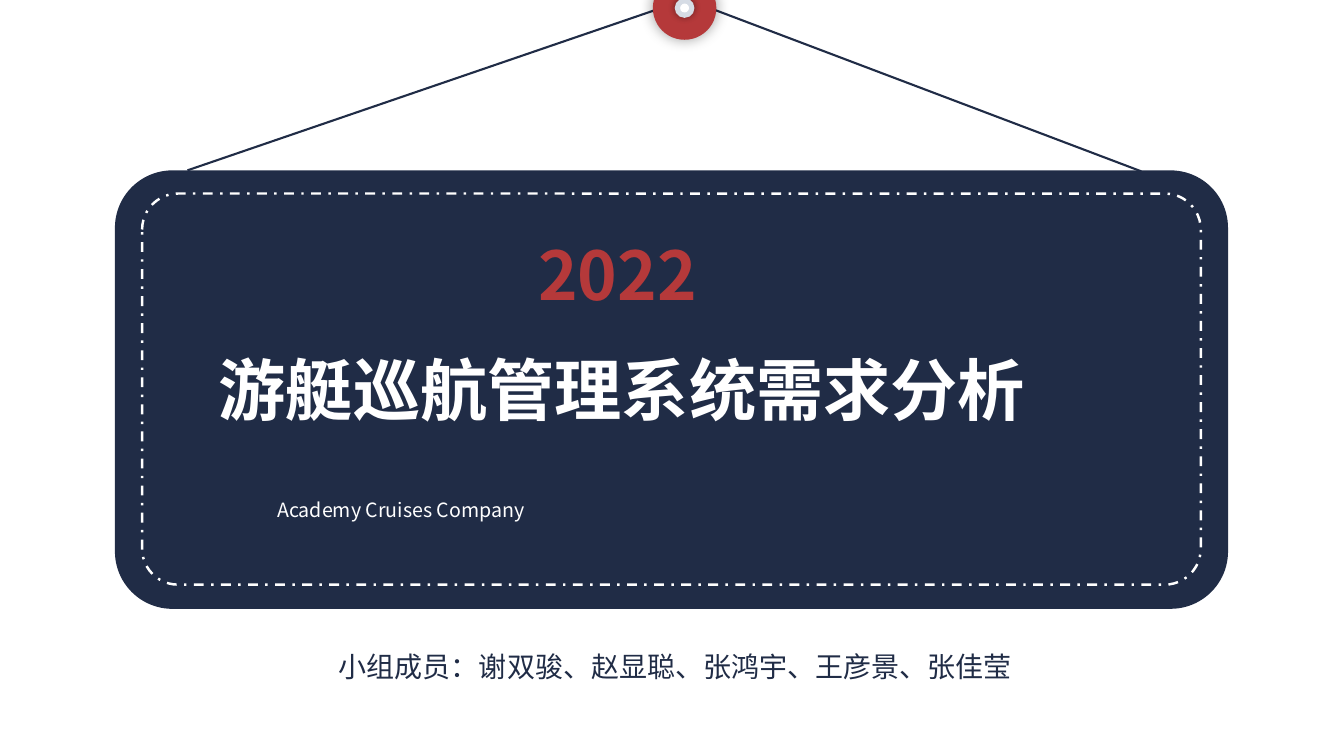
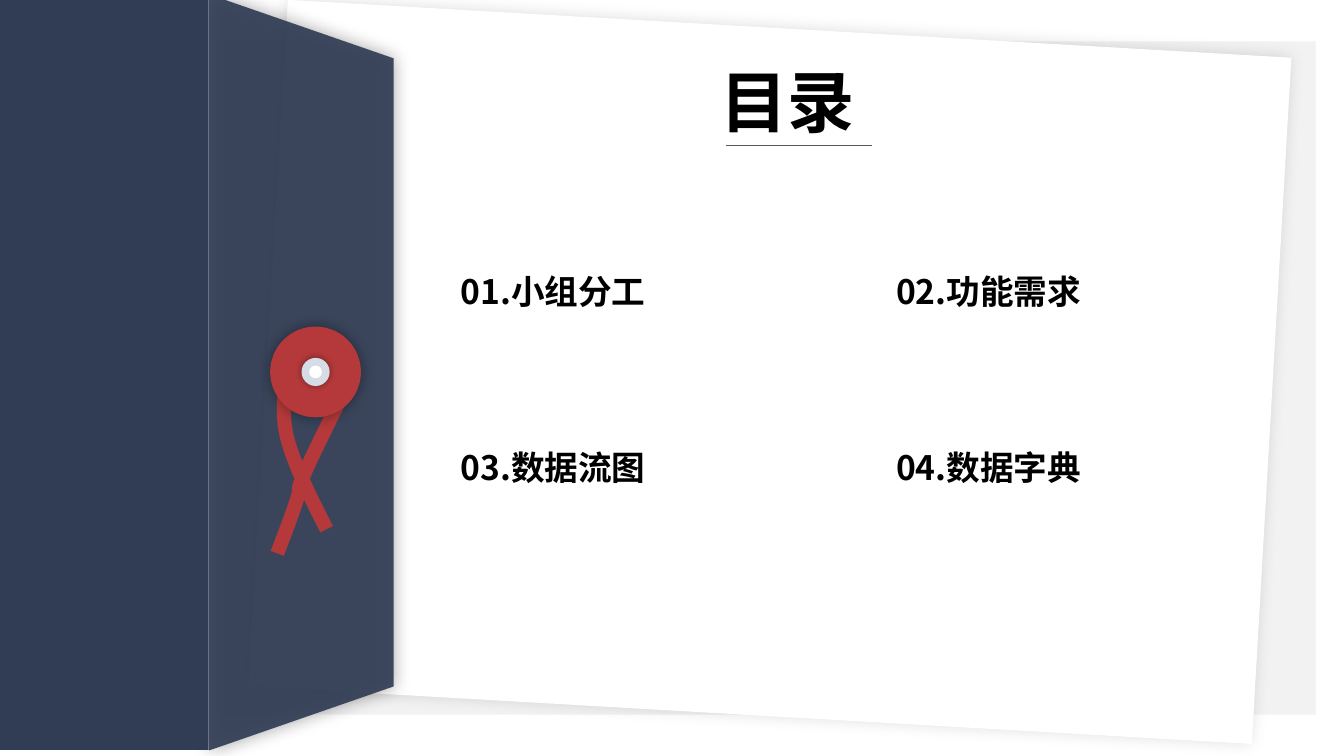
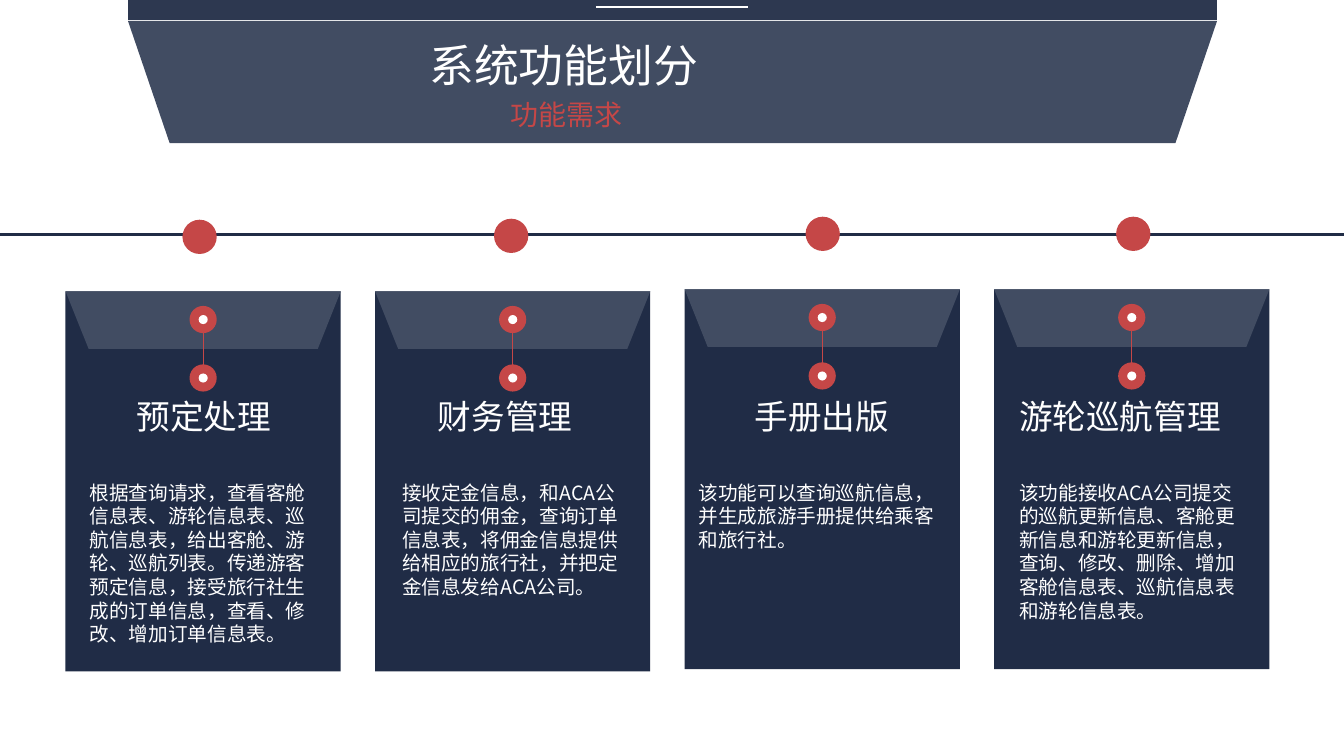
from dataclasses import dataclass

from lxml import etree
from pptx import Presentation
from pptx.dml.color import RGBColor
from pptx.enum.dml import MSO_LINE
from pptx.enum.shapes import MSO_CONNECTOR, MSO_SHAPE
from pptx.enum.text import PP_ALIGN
from pptx.oxml.ns import qn
from pptx.util import Inches, Pt

RECT, ROUND = MSO_SHAPE.RECTANGLE, MSO_SHAPE.ROUNDED_RECTANGLE
OVAL, TRAPEZOID = MSO_SHAPE.OVAL, MSO_SHAPE.TRAPEZOID
STRAIGHT, DASH_DOT = MSO_CONNECTOR.STRAIGHT, MSO_LINE.DASH_DOT
LEFT, CENTER, JUSTIFY = PP_ALIGN.LEFT, PP_ALIGN.CENTER, PP_ALIGN.JUSTIFY

FONT = "Noto Sans CJK SC"
NAVY, SLATE, FLAP = "202C46", "313D55", "414C62"
RED, CORAL = "B5393A", "C54747"
WHITE, BLACK, SILVER, PALE, GREY = "FFFFFF", "000000", "D6DCE5", "F2F2F2", "595959"
SLIDE_W, SLIDE_H = 13.33, 7.5


@dataclass
class Shadow:
    alpha: int
    blur: float


@dataclass
class Card:
    top: float
    dot: tuple[float, float]
    heading: str
    heading_x: float
    heading_w: float
    body: str
    body_x: float
    body_w: float
    align: PP_ALIGN = CENTER


CARDS = [
    Card(2.89, (1.98, 2.35), "预定处理", 0.79, 2.46,
         "根据查询请求，查看客舱信息表、游轮信息表、巡航信息表，给出客舱、游轮、巡航列表。"
         "传递游客预定信息，接受旅行社生成的订单信息，查看、修改、增加订单信息表。", 0.79, 2.36),
    Card(2.89, (5.07, 2.34), "财务管理", 3.76, 2.5,
         "接收定金信息，和ACA公司提交的佣金，查询订单信息表，将佣金信息提供给相应的旅行社，"
         "并把定金信息发给ACA公司。", 3.89, 2.4),
    Card(2.87, (8.16, 2.32), "手册出版", 7, 2.3,
         "该功能可以查询巡航信息，并生成旅游手册提供给乘客和旅行社。", 6.83, 2.56),
    Card(2.87, (11.24, 2.32), "游轮巡航管理", 10.01, 2.3,
         "该功能接收ACA公司提交的巡航更新信息、客舱更新信息和游轮更新信息，"
         "查询、修改、删除、增加客舱信息表、巡航信息表和游轮信息表。", 10.01, 2.4, JUSTIFY),
]
CARD_X, CARD_STEP, CARD_W, CARD_H = 0.65, 3.07, 2.73, 3.77
TOPICS = ["小组分工", "功能需求", "数据流图", "数据字典"]
STRING_START = (3.24, 5.25)
STRING_CURVES = [
    ((3.08, 4.94), (2.93, 4.63), (2.86, 4.39)),
    ((2.79, 4.15), (2.82, 3.95), (2.83, 3.78)),
    ((2.84, 3.62), (2.85, 3.46), (2.93, 3.41)),
    ((3.01, 3.35), (3.22, 3.41), (3.31, 3.45)),
    ((3.4, 3.49), (3.44, 3.58), (3.46, 3.65)),
    ((3.47, 3.73), (3.47, 3.72), (3.4, 3.9)),
    ((3.32, 4.08), (3.08, 4.55), (3.01, 4.72)),
    ((2.93, 4.9), (2.99, 4.81), (2.95, 4.94)),
    ((2.91, 5.07), (2.83, 5.28), (2.75, 5.49)),
]


def rgb(code: str) -> RGBColor:
    return RGBColor.from_string(code)


def set_alpha(parent, percent: int) -> None:
    etree.SubElement(parent, qn("a:alpha"), val=str(percent * 1000))


def add_shadow(sp, shadow: Shadow) -> None:
    effects = sp._element.spPr.find(qn("a:effectLst"))
    outer = etree.SubElement(effects, qn("a:outerShdw"), blurRad=str(Pt(shadow.blur)),
                             dist="0", dir="0", algn="ctr", rotWithShape="0")
    set_alpha(etree.SubElement(outer, qn("a:srgbClr"), val=BLACK), shadow.alpha)


def add_box(s, kind, x: float, y: float, w: float, h: float, fill: str | None = None, *,
            adj: float | None = None, rotation: float = 0, alpha: int = 100,
            shadow: Shadow | None = None):
    sp = s.shapes.add_shape(kind, Inches(x), Inches(y), Inches(w), Inches(h))
    sp.shadow.inherit = False
    sp.line.fill.background()
    sp.rotation = rotation
    if adj is not None:
        sp.adjustments[0] = adj
    if fill is None:
        sp.fill.background()
    else:
        sp.fill.solid()
        sp.fill.fore_color.rgb = rgb(fill)
        if alpha < 100:
            set_alpha(sp._element.spPr.find(qn("a:solidFill"))[0], alpha)
    if shadow:
        add_shadow(sp, shadow)
    return sp


def add_disc(s, cx: float, cy: float, size: float, fill: str,
             shadow: Shadow | None = None) -> None:
    add_box(s, OVAL, cx - size / 2, cy - size / 2, size, size, fill, shadow=shadow)


def add_line(s, start: tuple[float, float], end: tuple[float, float],
             color: str, width: float) -> None:
    line = s.shapes.add_connector(STRAIGHT, *(Inches(v) for v in (*start, *end)))
    line.line.color.rgb = rgb(color)
    line.line.width = Pt(width)
    etree.SubElement(line._element.spPr, qn("a:effectLst"))


def add_text(s, text: str, x: float, y: float, w: float, h: float, *, size: float,
             color: str = WHITE, bold: bool = False, align: PP_ALIGN = JUSTIFY) -> None:
    tf = s.shapes.add_textbox(Inches(x), Inches(y), Inches(w), Inches(h)).text_frame
    tf.word_wrap = True
    p = tf.paragraphs[0]
    p.alignment = align
    r = p.add_run()
    r.text = text
    r.font.name = FONT
    r.font.size = Pt(size)
    r.font.bold = bold
    r.font.color.rgb = rgb(color)
    etree.SubElement(r.font._element, qn("a:ea"), typeface=FONT)


def add_button(s, cx: float, cy: float, size: float) -> None:
    add_disc(s, cx, cy, size, RED, Shadow(39, 10))
    add_disc(s, cx, cy, size * 0.31, SILVER, Shadow(40, 5))
    add_disc(s, cx, cy, size * 0.14, WHITE)


def curve_points(start: tuple[float, float], curves: list, steps: int = 8) -> list:
    """Sample a chain of cubic Bezier curves."""
    points = []
    for a, b, end in curves:
        for i in range(1, steps + 1):
            t = i / steps
            u = 1 - t
            points.append(tuple(
                Inches(u**3 * p0 + 3 * u * u * t * p1 + 3 * u * t * t * p2 + t**3 * p3)
                for p0, p1, p2, p3 in zip(start, a, b, end)))
        start = end
    return points


def add_string(s) -> None:
    x, y = STRING_START
    builder = s.shapes.build_freeform(Inches(x), Inches(y))
    builder.add_line_segments(curve_points(STRING_START, STRING_CURVES), close=False)
    sp = builder.convert_to_shape()
    sp.shadow.inherit = False
    sp.fill.background()
    sp.line.color.rgb = rgb(RED)
    sp.line.width = Pt(10)


def add_card(s, index: int, card: Card) -> None:
    x = CARD_X + index * CARD_STEP
    cx = x + CARD_W / 2
    add_box(s, RECT, x, card.top, CARD_W, CARD_H, NAVY)
    add_box(s, TRAPEZOID, x, card.top, CARD_W, 0.57, FLAP, adj=0.4, rotation=180)
    eyelets = [card.top + 0.28, card.top + 0.86]
    add_line(s, (cx, eyelets[0]), (cx, eyelets[1]), CORAL, 0.5)
    for cy in eyelets:
        add_disc(s, cx, cy, 0.27, CORAL)
        add_disc(s, cx, cy, 0.09, WHITE)
    add_text(s, card.heading, card.heading_x, 3.88, card.heading_w, 0.5,
             size=24, align=card.align)
    add_text(s, card.body, card.body_x, 4.72, card.body_w, 1.75, size=14, align=LEFT)


def build_cover(s) -> None:
    add_box(s, ROUND, 1.14, 1.69, 11.04, 4.35, NAVY, adj=0.131)
    stitch = add_box(s, ROUND, 1.41, 1.92, 10.5, 3.88, adj=0.092)
    stitch.line.color.rgb = rgb(WHITE)
    stitch.line.width = Pt(1.75)
    stitch.line.dash_style = DASH_DOT
    add_text(s, "游艇巡航管理系统需求分析", 2.07, 3.41, 9.19, 0.91, size=48, bold=True)
    add_text(s, "2022", 5.24, 2.27, 2.86, 0.91, size=48, color=RED, bold=True)
    add_text(s, "Academy Cruises Company", 2.65, 4.89, 8.02, 0.34, size=14)
    add_text(s, "小组成员：谢双骏、赵显聪、张鸿宇、王彦景、张佳莹", 3.15, 6.39, 7.1, 0.44,
             size=20, color=NAVY, align=CENTER)
    add_line(s, (1.86, 1.69), (6.79, 0), NAVY, 1.5)
    add_line(s, (6.83, 0), (11.32, 1.7), NAVY, 1.5)
    add_button(s, 6.79, 0.08, 0.63)


def build_contents(s) -> None:
    add_box(s, RECT, 2.14, 0.41, 10.91, 6.68, PALE)
    add_box(s, RECT, 2.65, 0.28, 9.97, 6.82, WHITE, rotation=3.3, shadow=Shadow(13, 11))
    add_box(s, TRAPEZOID, -0.76, 2.78, 7.5, 1.83, SLATE, adj=0.347, rotation=90,
            alpha=92, shadow=Shadow(36, 13))
    add_box(s, RECT, 0, -0.06, 2.07, 7.5, SLATE)
    add_string(s)
    add_button(s, 3.13, 3.69, 0.9)
    add_text(s, "目录", 7.05, 0.55, 1.71, 0.91, size=48, color=BLACK, bold=True)
    add_line(s, (7.2, 1.44), (8.65, 1.44), GREY, 0.75)
    for i, topic in enumerate(TOPICS):
        row, col = divmod(i, 2)
        add_text(s, f"{i + 1:02d}.{topic}", 4.47 + col * 4.32, 2.64 + row * 1.74, 3.16, 0.5,
                 size=24, color=BLACK, bold=True)


def build_functions(s) -> None:
    add_box(s, TRAPEZOID, 1.27, 0.21, 10.8, 1.21, SLATE, adj=0.341, rotation=180, alpha=92)
    add_box(s, RECT, 1.27, 0, 10.8, 0.2, NAVY, alpha=94)
    add_line(s, (5.91, 0.07), (7.42, 0.07), WHITE, 1)
    add_text(s, "系统功能划分", 4.16, 0.33, 5.01, 0.64, size=32)
    add_text(s, "功能需求", 4.96, 0.92, 3.32, 0.44, size=20, color=CORAL)
    add_line(s, (0, 2.33), (SLIDE_W, 2.33), NAVY, 2)
    for i, card in enumerate(CARDS):
        add_disc(s, *card.dot, 0.34, CORAL)
        add_card(s, i, card)


def main() -> None:
    prs = Presentation()
    prs.slide_width, prs.slide_height = Inches(SLIDE_W), Inches(SLIDE_H)
    for build in (build_cover, build_contents, build_functions):
        build(prs.slides.add_slide(prs.slide_layouts[6]))
    prs.save("out.pptx")


if __name__ == "__main__":
    main()
